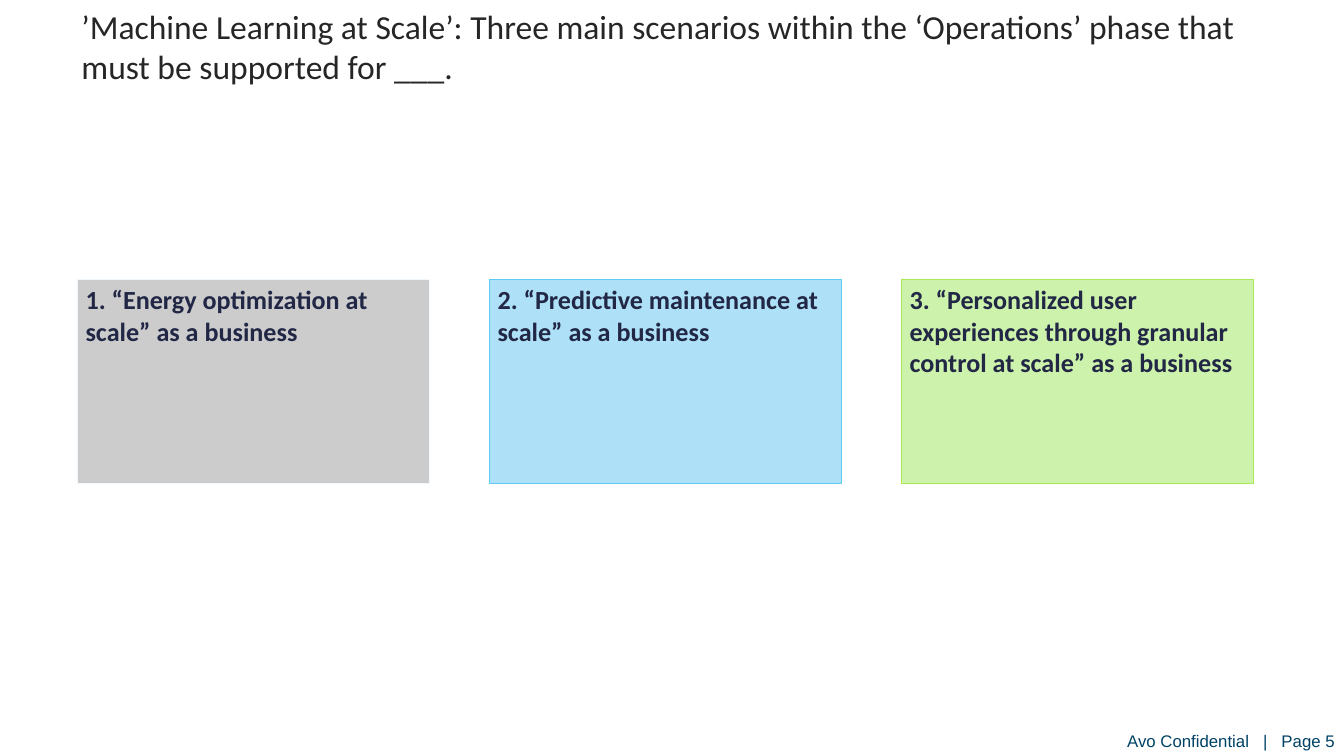
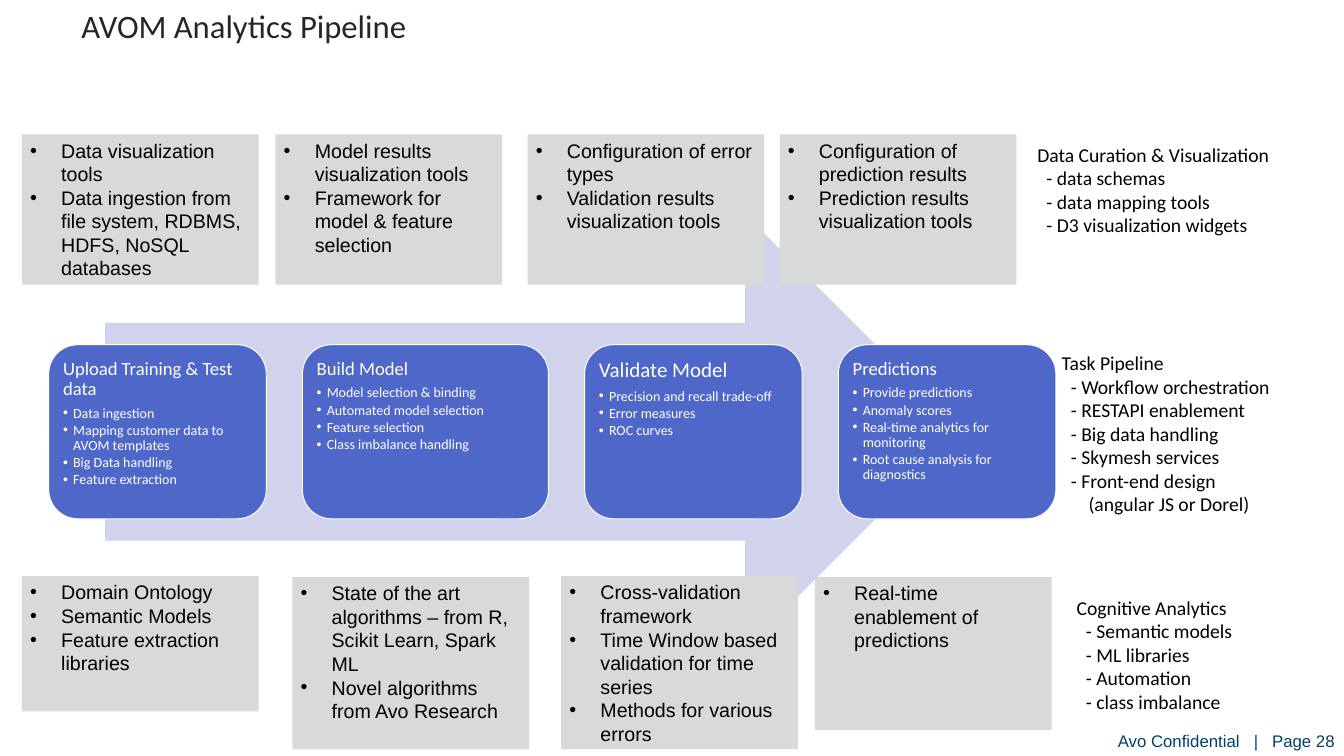
from collections import namedtuple

from lxml import etree
from pptx import Presentation
from pptx import util as u
from pptx.dml.color import RGBColor
from pptx.enum import shapes, text
from pptx.oxml.ns import qn

COLORS = {
    "title": "262626", "footer": "004266", "heading": "212745",
    "black": "000000", "white": "FFFFFF", "tool": "D9D9D9",
    "arrow": "D0D3EB", "step": "4E67C8",
    "gray": "CCCCCC", "gray_edge": "F0F8FE",
    "blue": "AEE0F7", "blue_edge": "5ECCF3",
    "green": "CCF2AB", "green_edge": "A7EA52",
}
WIDTH, HEIGHT = u.Inches(16), u.Inches(9)
COLUMN, ROW = WIDTH // 16, HEIGHT // 9  # every length counts these

Box = namedtuple("Box", "left top width height")
Style = namedtuple("Style", "font size color bold", defaults=(False,))

TITLE_BOX = Box(0.83, 0, 14.17, 0.66)
FOOTER_BOX = Box(12.16, 8.7, 3.73, 0.3)
FOOTER = Style("Arial", 14.4, "footer")
SCENARIO = Style("Calibri", 22.4, "heading", True)
TOOL = Style("Arial", 16.8, "black")
NOTE = Style("Calibri", 16.8, "black")
STEP_ITEM = Style("Calibri", 12, "white")


def rgb(name):
    return RGBColor.from_string(COLORS[name])


def place(box):
    return (int(box.left * COLUMN), int(box.top * ROW),
            int(box.width * COLUMN), int(box.height * ROW))


def set_frame(shape, side=0.1, top=0.05):
    frame = shape.text_frame
    frame.word_wrap = True
    frame.vertical_anchor = text.MSO_ANCHOR.TOP
    frame.margin_left = frame.margin_right = u.Inches(side)
    frame.margin_top = frame.margin_bottom = u.Inches(top)
    return frame


def add_shape(slide, kind, box, fill, edge=None, line_width=0.75):
    shape = slide.shapes.add_shape(kind, *place(box))
    shape.shadow.inherit = False
    shape.fill.solid()
    shape.fill.fore_color.rgb = rgb(fill)
    if edge:
        shape.line.color.rgb = rgb(edge)
        shape.line.width = u.Pt(line_width)
    else:
        shape.line.fill.background()
    return shape


def add_text_box(slide, box, side=0.1, top=0.05):
    return set_frame(slide.shapes.add_textbox(*place(box)), side, top)


def add_run(paragraph, words, style):
    run = paragraph.add_run()
    run.text = words
    run.font.name = style.font
    run.font.size = u.Pt(style.size)
    run.font.bold = style.bold
    run.font.color.rgb = rgb(style.color)
    return run


def add_paragraph(frame, words, style, left=0, bullet=False):
    """Fill the empty first paragraph, or append one."""
    first = frame.paragraphs[0]
    paragraph = first if not first.runs else frame.add_paragraph()
    paragraph.alignment = text.PP_ALIGN.LEFT
    properties = paragraph._p.get_or_add_pPr()
    properties.set("marL", str(u.Inches(left)))
    if bullet:
        properties.set("indent", str(-u.Inches(left)))
        etree.SubElement(properties, qn("a:buFont")).set("typeface", "Arial")
        etree.SubElement(properties, qn("a:buChar")).set("char", "•")
    add_run(paragraph, words, style)
    return paragraph


# Shared title and footer
def add_page(presentation, title, title_size, number):
    slide = presentation.slides.add_slide(presentation.slide_layouts[6])
    frame = add_text_box(slide, TITLE_BOX, 0.14, 0.07)
    add_paragraph(frame, title, Style("Calibri", title_size, "title"))

    footer = add_text_box(slide, FOOTER_BOX, 0, 0)
    paragraph = add_paragraph(footer, "Avo Confidential", FOOTER)
    paragraph.alignment = text.PP_ALIGN.RIGHT
    # Widened spaces around the bar
    for words, spacing in ((" ", 800), ("|", 0), (" ", 800)):
        run = add_run(paragraph, words, FOOTER)
        run.font._element.set("spc", str(spacing))
    add_run(paragraph, f"Page {number}", FOOTER)
    return slide


def add_scenarios(slide, box, scenarios):
    """Equal cards spread over the box."""
    card_width = 4.19
    step = (box.width - card_width) / (len(scenarios) - 1)
    for index, (words, color) in enumerate(scenarios):
        card = Box(box.left + index * step, box.top, card_width, box.height)
        shape = add_shape(slide, shapes.MSO_SHAPE.RECTANGLE, card,
                          color, color + "_edge")
        add_paragraph(set_frame(shape), words, SCENARIO)


def add_tools(slide, box, items):
    shape = add_shape(slide, shapes.MSO_SHAPE.RECTANGLE, box, "tool")
    frame = set_frame(shape)
    for item in items:
        add_paragraph(frame, item, TOOL, 0.37, bullet=True)


def add_step(slide, box, heading, size, items):
    shape = add_shape(slide, shapes.MSO_SHAPE.ROUNDED_RECTANGLE, box,
                      "step", "white", 0.85)
    frame = set_frame(shape, 0.07, 0.07)
    paragraph = add_paragraph(frame, heading, Style("Calibri", size, "white"))
    paragraph.line_spacing = 0.9
    paragraph.space_after = u.Pt(size * 0.35)
    for item in items:
        paragraph = add_paragraph(frame, item, STEP_ITEM, 0.12, bullet=True)
        paragraph.line_spacing = 0.9
        paragraph.space_after = u.Pt(1.8)


def add_pipeline(slide, box, steps):
    """Arrow over the box, steps along its middle."""
    add_shape(slide, shapes.MSO_SHAPE.RIGHT_ARROW, box, "arrow")
    height, gap = box.height * 0.4, 0.43
    left = box.left - 0.67
    for heading, size, width, items in steps:
        step_box = Box(left, box.top + (box.height - height) / 2, width, height)
        add_step(slide, step_box, heading, size, items)
        left += width + gap


def add_note(slide, box, heading, items, continuation=None):
    frame = add_text_box(slide, box)
    add_paragraph(frame, heading, NOTE)
    for item in items:
        add_paragraph(frame, "- " + item, NOTE, 0.11)
    if continuation:
        add_paragraph(frame, continuation, NOTE, 0.32)


SCENARIOS = [
    ("1. “Energy optimization at scale” as a business", "gray"),
    ("2. “Predictive maintenance at scale” as a business", "blue"),
    ("3. “Personalized user experiences through granular control at scale” "
     "as a business", "green"),
]
STEPS = [
    ("Upload Training & Test data", 16, 2.59,
     ["Data ingestion", "Mapping customer data to AVOM templates",
      "Big Data handling", "Feature extraction"]),
    ("Build Model", 16, 2.93,
     ["Model selection & binding", "Automated model selection",
      "Feature selection", "Class imbalance handling"]),
    ("Validate Model", 18, 2.59,
     ["Precision and recall trade-off", "Error measures", "ROC curves"]),
    ("Predictions", 16, 2.59,
     ["Provide predictions", "Anomaly scores",
      "Real-time analytics for monitoring",
      "Root cause analysis for diagnostics"]),
]
TOOLS = [
    # Upper row
    (Box(0.26, 1.6, 2.82, 1.79),
     ["Data visualization tools",
      "Data ingestion from file system, RDBMS, HDFS, NoSQL databases"]),
    (Box(3.28, 1.6, 2.7, 1.79),
     ["Model results visualization tools",
      "Framework for model & feature selection"]),
    (Box(6.28, 1.6, 2.82, 1.79),
     ["Configuration of error types", "Validation results visualization tools"]),
    (Box(9.28, 1.6, 2.82, 1.79),
     ["Configuration of prediction results",
      "Prediction results visualization tools"]),
    # Lower row
    (Box(0.26, 6.86, 2.82, 1.61),
     ["Domain Ontology", "Semantic Models", "Feature extraction libraries"]),
    (Box(3.48, 6.87, 2.82, 2.05),
     ["State of the art algorithms – from R, Scikit Learn, Spark ML",
      "Novel algorithms from Avo Research"]),
    (Box(6.68, 6.86, 2.82, 2.06),
     ["Cross-validation framework",
      "Time Window based validation for time series",
      "Methods for various errors"]),
    (Box(9.7, 6.87, 2.82, 1.82), ["Real-time enablement of predictions"]),
]
NOTES = [
    (Box(12.25, 1.65, 2.99, 1.23), "Data Curation & Visualization",
     ["data schemas", "data mapping tools", "D3 visualization widgets"]),
    (Box(12.54, 4.13, 3.45, 2.08), "Task Pipeline",
     ["Workflow orchestration", "RESTAPI enablement", "Big data handling",
      "Skymesh services", "Front-end design"], "(angular JS or Dorel)"),
    (Box(12.72, 7.04, 2.07, 1.51), "Cognitive Analytics",
     ["Semantic models", "ML libraries", "Automation", "class imbalance"]),
]


def main():
    presentation = Presentation()
    presentation.slide_width, presentation.slide_height = WIDTH, HEIGHT

    # Scenarios
    slide = add_page(
        presentation,
        "’Machine Learning at Scale’: Three main scenarios within the "
        "‘Operations’ phase that must be supported for ___.", 28.8, 5)
    add_scenarios(slide, Box(0.92, 3.33, 14, 2.42), SCENARIOS)

    # Analytics pipeline
    slide = add_page(presentation, "AVOM Analytics Pipeline", 28, 28)
    add_pipeline(slide, Box(1.25, 2.55, 10.21, 5.18), STEPS)
    for box, items in TOOLS:
        add_tools(slide, box, items)
    for note in NOTES:
        add_note(slide, *note)

    presentation.save("out.pptx")


if __name__ == "__main__":
    main()
